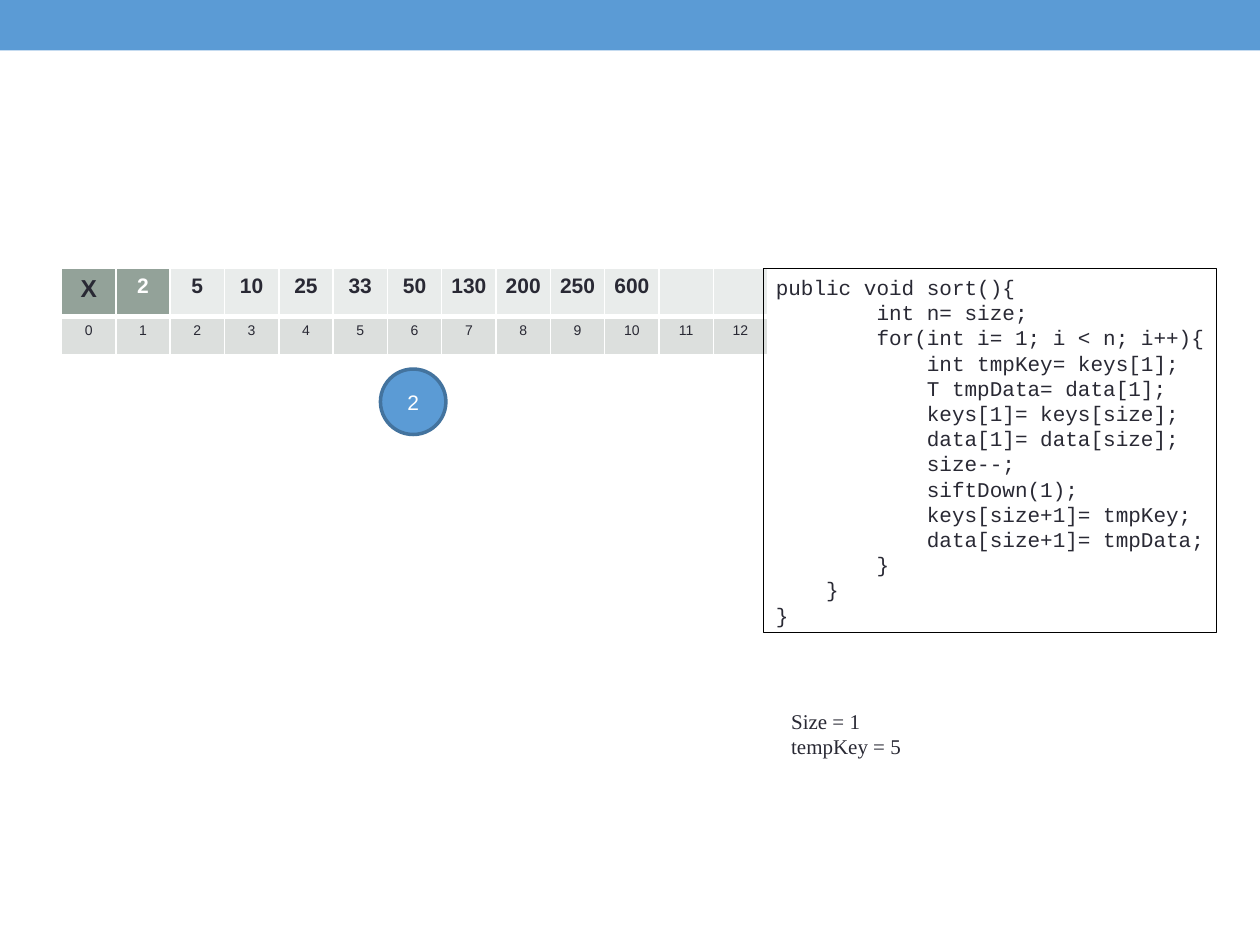
from dataclasses import dataclass

from lxml.etree import SubElement
from pptx import Presentation
from pptx.dml.color import RGBColor
from pptx.enum.shapes import MSO_SHAPE as Preset
from pptx.enum.text import MSO_ANCHOR as Anchor, PP_ALIGN as Align
from pptx.oxml.ns import qn
from pptx.util import Cm, Pt


@dataclass(frozen=True)
class Theme:
    blue: str = "5B9BD5"
    dark_blue: str = "43739E"
    ink: str = "292934"
    white: str = "FFFFFF"
    black: str = "000000"
    heap: str = "93A299"
    sorted_part: str = "E9ECEB"
    index_row: str = "DCDFDD"
    sans: str = "Arial"
    code: str = "Courier New"
    serif: str = "Times New Roman"
    body_size: float = 12
    marker_size: float = 14
    index_size: float = 8
    thin: float = 0.96
    thick: float = 3


THEME = Theme()
KEYS = ["X", "2", "5", "10", "25", "33", "50", "130", "200", "250", "600", "", ""]
HEAP_CELLS = 2
SORT_CODE = """public void sort(){
        int n= size;
        for(int i= 1; i < n; i++){
            int tmpKey= keys[1];
            T tmpData= data[1];
            keys[1]= keys[size];
            data[1]= data[size];
            size--;
            siftDown(1);
            keys[size+1]= tmpKey;
            data[size+1]= tmpData;
        }
    }
}"""


def set_values(target, values):
    for name, value in values.items():
        setattr(target, name, value)


def set_borders(cell, widths):
    """Add white cell borders; widths holds points by side letter (L, R, T, B)."""
    properties = cell._tc.get_or_add_tcPr()
    for side, width in widths.items():
        line = SubElement(properties, qn(f"a:ln{side}"), w=str(int(Pt(width))))
        fill = SubElement(line, qn("a:solidFill"))
        SubElement(fill, qn("a:srgbClr"), val=THEME.white)


class SlideBuilder:
    def __init__(self, slide, theme):
        self.slide = slide
        self.theme = theme

    def add_text(self, frame, text, font, size, color, align=Align.LEFT, bold=False):
        values = {"name": font, "size": Pt(size), "bold": bold}
        for number, line in enumerate(text.split("\n")):
            paragraph = frame.add_paragraph() if number else frame.paragraphs[0]
            paragraph.alignment = align
            run = paragraph.add_run()
            run.text = line
            set_values(run.font, values)
            run.font.color.rgb = RGBColor.from_string(color)

    def shape(self, preset, box, fill=None, line=None, line_width=0.75):
        shape = self.slide.shapes.add_shape(preset, *map(Cm, box))
        shape.shadow.inherit = False
        if fill:
            shape.fill.solid()
            shape.fill.fore_color.rgb = RGBColor.from_string(fill)
        else:
            shape.fill.background()
        if line:
            shape.line.color.rgb = RGBColor.from_string(line)
            shape.line.width = Pt(line_width)
        else:
            shape.line.fill.background()
        return shape

    def text_box(self, box, text, font):
        frame = self.slide.shapes.add_textbox(*map(Cm, box)).text_frame
        frame.word_wrap = False
        self.add_text(frame, text, font, self.theme.body_size, self.theme.ink)

    def code_box(self, box, text):
        theme = self.theme
        frame = self.shape(Preset.RECTANGLE, box, line=theme.black).text_frame
        set_values(frame, {"word_wrap": False, "vertical_anchor": Anchor.TOP})
        self.add_text(frame, text, theme.code, theme.body_size, theme.ink)

    def node(self, box, text):
        theme = self.theme
        frame = self.shape(Preset.OVAL, box, theme.blue, theme.dark_blue, 2).text_frame
        frame.vertical_anchor = Anchor.MIDDLE
        self.add_text(frame, text, theme.sans, theme.body_size, theme.white, Align.CENTER)

    def cell(self, cell, text, fill, size, color, bold, borders):
        set_borders(cell, borders)
        cell.fill.solid()
        cell.fill.fore_color.rgb = RGBColor.from_string(fill)
        margins = {"margin_left": Cm(0.18), "margin_right": Cm(0.18),
                   "margin_top": Cm(0.13), "margin_bottom": Cm(0.13)}
        set_values(cell, margins)
        self.add_text(cell.text_frame, text, self.theme.sans, size, color, Align.CENTER, bold)

    def array_table(self, left, top, column_width, row_heights, keys):
        """Draw the keys with their indexes below; the heap part is darker."""
        theme = self.theme
        width = column_width * len(keys)
        frame = self.slide.shapes.add_table(
            2, len(keys), *map(Cm, (left, top, width, sum(row_heights))))
        table = frame.table
        set_values(table, {"first_row": False, "horz_banding": False})
        for row, height in zip(table.rows, row_heights):
            row.height = Cm(height)
        sides = {"L": theme.thin, "R": theme.thin}
        key_borders = {**sides, "T": theme.thin, "B": theme.thick}
        index_borders = {**sides, "T": theme.thick, "B": theme.thin}
        for index, key in enumerate(keys):
            table.columns[index].width = Cm(column_width)
            fill = theme.heap if index < HEAP_CELLS else theme.sorted_part
            size = theme.marker_size if key == "X" else theme.body_size
            color = theme.white if index == 1 else theme.ink
            self.cell(table.cell(0, index), key, fill, size, color, True, key_borders)
            self.cell(table.cell(1, index), str(index), theme.index_row,
                      theme.index_size, theme.ink, False, index_borders)


def main():
    presentation = Presentation()
    set_values(presentation, {"slide_width": Cm(25.4), "slide_height": Cm(19.05)})
    slide = presentation.slides.add_slide(presentation.slide_layouts[6])
    builder = SlideBuilder(slide, THEME)
    builder.shape(Preset.RECTANGLE, (0, 0, 25.4, 1.02), THEME.blue)
    builder.array_table(1.24, 5.41, 14.24 / len(KEYS), (0.97, 0.76), KEYS)
    builder.node((7.67, 7.44, 1.32, 1.32), "2")
    builder.code_box((15.39, 5.41, 9.14, 7.34), SORT_CODE)
    builder.text_box((15.7, 14.15, 2.72, 1.27), "Size = 1\ntempKey = 5", THEME.serif)
    presentation.save("out.pptx")


if __name__ == "__main__":
    main()
